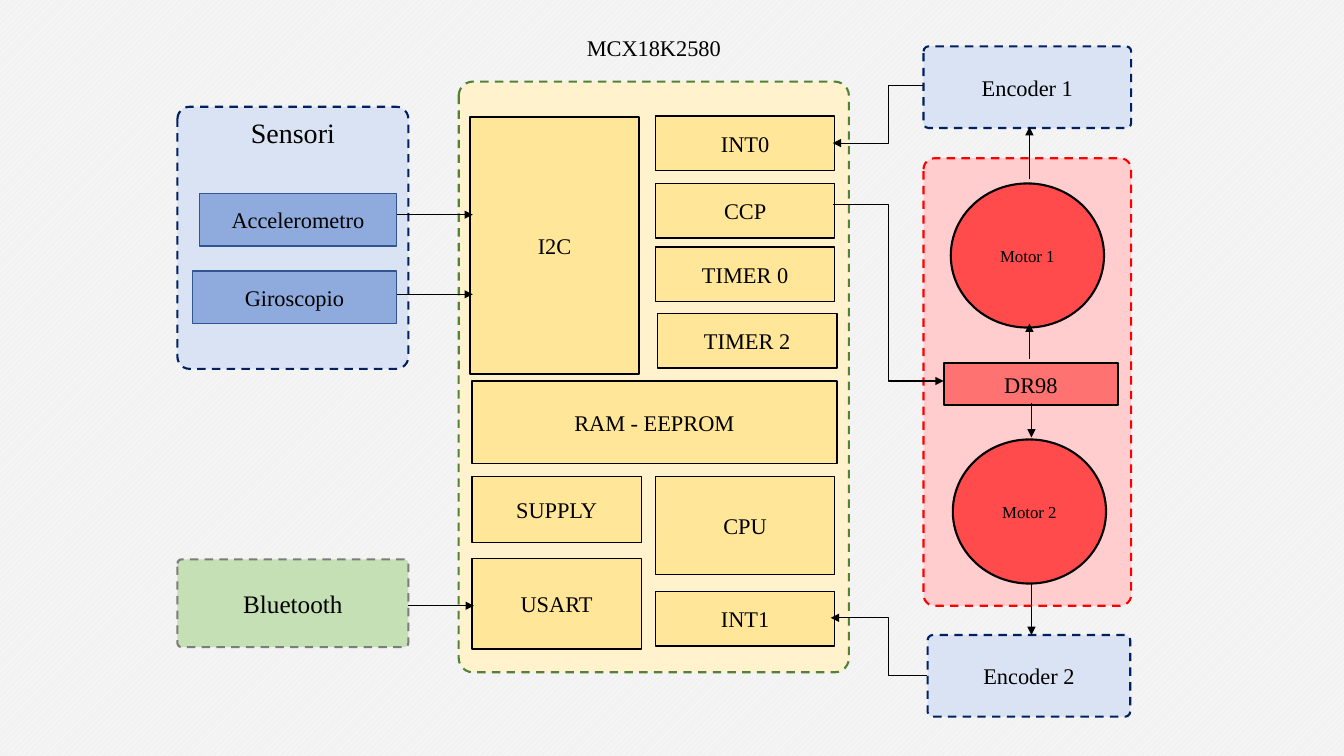
from lxml.etree import SubElement
from pptx import Presentation
from pptx.dml.color import RGBColor
from pptx.enum.dml import MSO_LINE, MSO_PATTERN
from pptx.enum.shapes import MSO_CONNECTOR as LINK, MSO_SHAPE as SHAPE
from pptx.enum.text import MSO_ANCHOR as ANCHOR, PP_ALIGN as ALIGN
from pptx.oxml.ns import qn
from pptx.util import Pt

PX = 9144
FONT = "Times New Roman"
COLORS = {
    "white": "FFFFFF", "paper": "F2F2F2", "black": "000000",
    "green": "C5E0B4", "gray": "7C7C7C", "pale_blue": "DAE3F3",
    "navy": "002060", "blue": "8FAADC", "blue_edge": "325491",
    "pink": "FFCDCD", "red": "FF0000", "motor": "FF4B4B",
    "driver": "FE7272", "cream": "FFF2CC", "olive": "548235",
    "yellow": "FFE699",
}


def rgb(name):
    """Return the named colour."""
    return RGBColor.from_string(COLORS[name])


def write(frame, text, size, anchor=ANCHOR.MIDDLE):
    """Put one centred line of text in a frame."""
    frame.text = text
    frame.word_wrap = True
    frame.vertical_anchor = anchor
    line = frame.paragraphs[0]
    line.alignment = ALIGN.CENTER
    line.line_spacing = 1.0
    font = line.runs[0].font
    font.name, font.size = FONT, Pt(size)
    font.color.rgb = rgb("black")


def block(slide, box, fill, edge, text="", size=16, kind=SHAPE.RECTANGLE,
          width=1, anchor=ANCHOR.MIDDLE):
    """Add a filled shape with an optional label."""
    shape = slide.shapes.add_shape(kind, *[n * PX for n in box])
    shape.shadow.inherit = False
    shape.fill.solid()
    shape.fill.fore_color.rgb = rgb(fill)
    shape.line.color.rgb = rgb(edge)
    shape.line.width = Pt(width)
    if text:
        write(shape.text_frame, text, size, anchor)
    return shape


def panel(slide, box, fill, edge, radius, text="", size=16, anchor=ANCHOR.MIDDLE):
    """Add a dashed panel with rounded corners."""
    shape = block(slide, box, fill, edge, text, size, SHAPE.ROUNDED_RECTANGLE,
                  1.5, anchor)
    shape.line.dash_style = MSO_LINE.DASH
    shape.adjustments[0] = radius / min(box[2:])


def arrow(slide, start, end, bend_x=None):
    """Link two points, turning at bend_x when it is given."""
    kind = LINK.STRAIGHT if bend_x is None else LINK.ELBOW
    link = slide.shapes.add_connector(kind, *[n * PX for n in (*start, *end)])
    link.line.color.rgb = rgb("black")
    link.line.width = Pt(0.75)
    properties = link._element.spPr
    SubElement(properties.find(qn("a:ln")), qn("a:tailEnd"), type="triangle")
    SubElement(properties, qn("a:effectLst"))
    if bend_x is not None:
        share = round((bend_x - start[0]) / (end[0] - start[0]) * 100000)
        guides = properties.find(qn("a:prstGeom")).get_or_add_avLst()
        SubElement(guides, qn("a:gd"), name="adj1", fmla=f"val {share}")


def sensors(slide, box):
    """Draw the sensor panel and its two sensors."""
    left, top, width, _ = box
    panel(slide, box, "pale_blue", "navy", 12, "Sensori", 20, ANCHOR.TOP)
    right = left + width - 12
    for name, wide, y in (("Accelerometro", 195, 86), ("Giroscopio", 202, 163)):
        block(slide, (right - wide, top + y, wide, 52), "blue", "blue_edge", name)


def controller(slide, box):
    """Draw the microcontroller, its title and its modules."""
    left, top, width, _ = box
    panel(slide, box, "cream", "olive", 14)
    title = slide.shapes.title
    title.left, title.top = left * PX, (top - 52) * PX
    title.width, title.height = width * PX, 60 * PX
    write(title.text_frame, "MCX18K2580", 16, ANCHOR.TOP)
    modules = {
        "I2C": (11, 35, 168, 255),
        "INT0": (195, 34, 178, 54),
        "CCP": (195, 101, 178, 54),
        "TIMER 0": (195, 164, 178, 54),
        "TIMER 2": (197, 230, 178, 54),
        "RAM - EEPROM": (13, 297, 362, 82),
        "SUPPLY": (13, 392, 168, 65),
        "CPU": (195, 392, 178, 97),
        "USART": (13, 473, 168, 90),
        "INT1": (195, 506, 178, 54),
    }
    for name, (x, y, wide, high) in modules.items():
        block(slide, (left + x, top + y, wide, high), "yellow", "black", name)


def motors(slide, box):
    """Draw the driver between its two motors."""
    left, top, _, _ = box
    panel(slide, box, "pink", "red", 11)
    for name, x, y in (("Motor 1", 27, 25), ("Motor 2", 29, 279)):
        block(slide, (left + x, top + y, 152, 143), "motor", "black", name, 12,
              SHAPE.OVAL, 1.5)
    block(slide, (left + 20, top + 203, 173, 42), "driver", "black", "DR98",
          width=1.5)
    for x, y, reach in ((105, 199, -35), (107, 243, 34), (107, 421, 52),
                        (105, 21, -52)):
        arrow(slide, (left + x, top + y), (left + x, top + y + reach))


def signals(slide):
    """Draw the signals into and out of the controller."""
    for start, end in (((394, 213), (469, 213)), ((394, 292), (469, 292)),
                       ((405, 601), (470, 601))):
        arrow(slide, start, end)
    for start, end in (((915, 85), (826, 142)), ((919, 670), (824, 613)),
                       ((826, 203), (936, 378))):
        arrow(slide, start, end, 881)


def main():
    """Build and save the block diagram."""
    deck = Presentation()
    deck.slide_width, deck.slide_height = 1333 * PX, 750 * PX
    slide = deck.slides.add_slide(deck.slide_layouts[5])
    backdrop = slide.background.fill
    backdrop.patterned()
    backdrop.pattern = MSO_PATTERN.WIDE_UPWARD_DIAGONAL
    backdrop.fore_color.rgb = rgb("white")
    backdrop.back_color.rgb = rgb("paper")
    panel(slide, (176, 555, 229, 87), "green", "gray", 4, "Bluetooth", 18)
    sensors(slide, (176, 106, 229, 260))
    panel(slide, (916, 46, 206, 81), "pale_blue", "navy", 5, "Encoder 1")
    panel(slide, (920, 630, 201, 81), "pale_blue", "navy", 5, "Encoder 2")
    controller(slide, (455, 81, 387, 586))
    motors(slide, (916, 157, 206, 444))
    signals(slide)
    deck.save("out.pptx")


if __name__ == "__main__":
    main()
